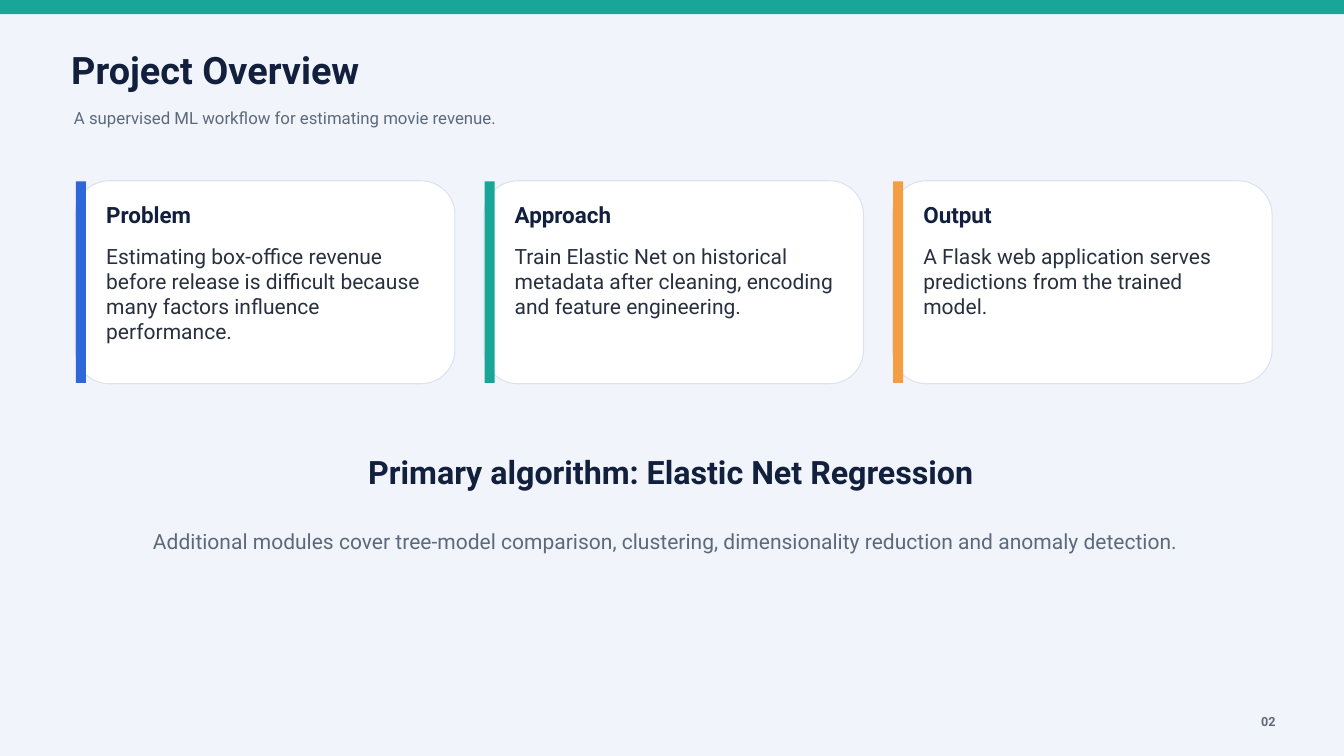
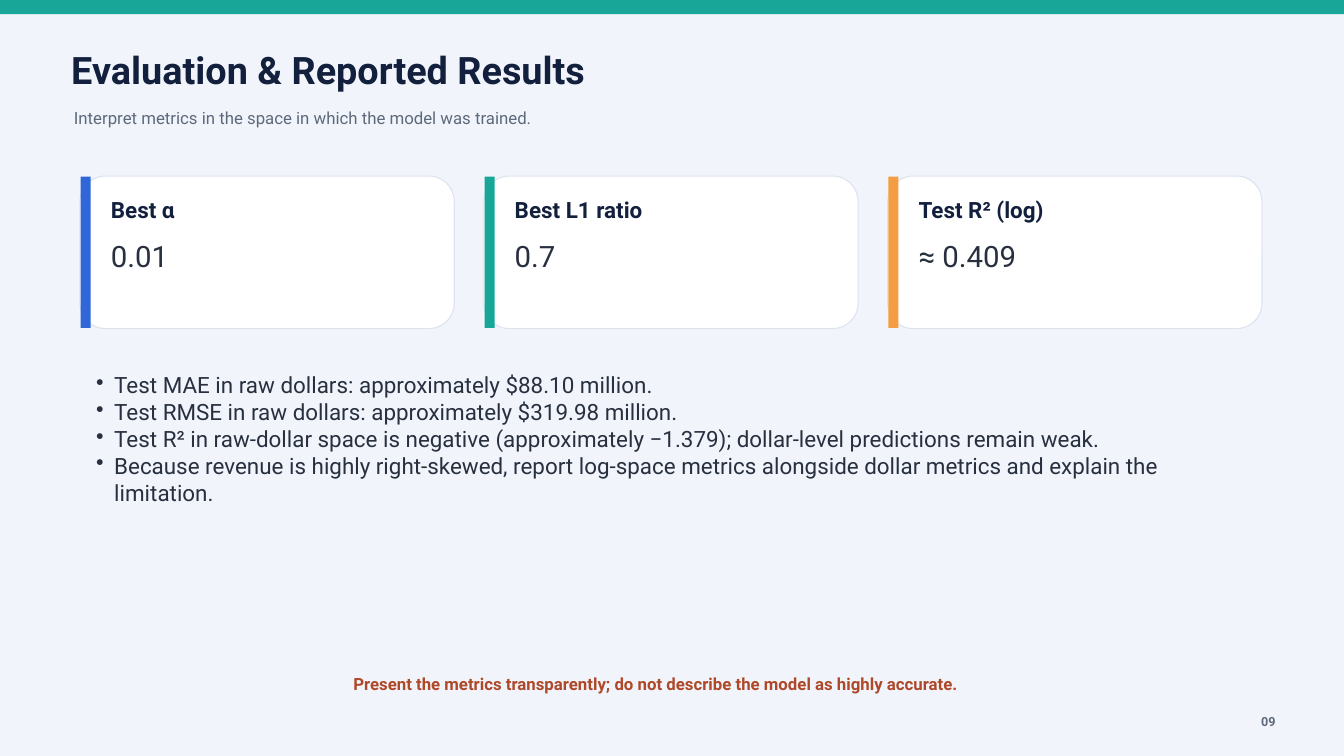
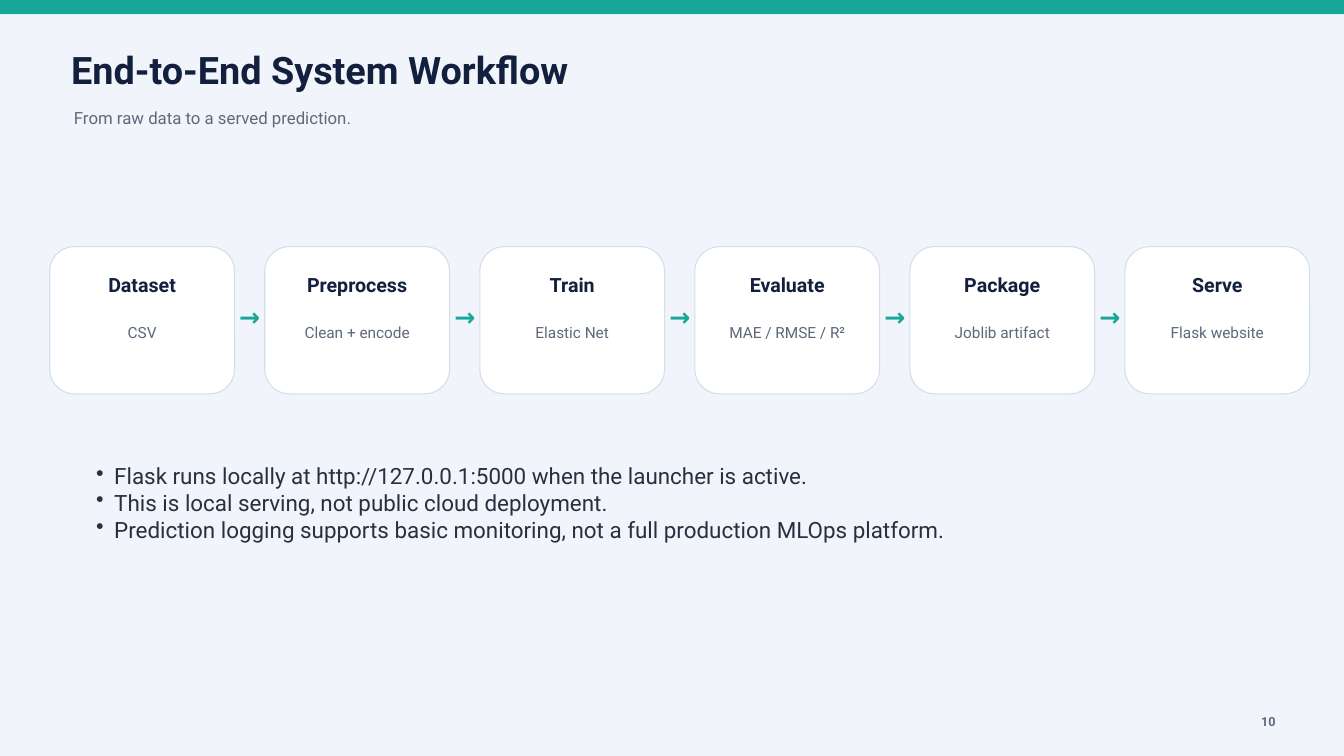
from dataclasses import dataclass
from pptx import Presentation
from pptx import util as u
from pptx.dml.color import RGBColor
from pptx.enum import shapes, text
from pptx.oxml.ns import qn
from lxml import etree

SHAPE = shapes.MSO_SHAPE
ALIGN = text.PP_ALIGN


@dataclass(frozen=True)
class Theme:
    face: str = "Roboto"
    page: str = "F1F5FB"
    white: str = "FFFFFF"
    navy: str = "13203D"
    ink: str = "283040"
    gray: str = "5D697B"
    blue: str = "2F67D8"
    teal: str = "18A699"
    amber: str = "F59D42"
    rust: str = "AE4828"
    edge: str = "DCE3EE"
    rim: str = "D3DEEC"
    title: float = 40.5
    claim: float = 34.5
    value: float = 31.5
    arrow: float = 27
    head: float = 24
    body: float = 22.5
    step: float = 21
    note: float = 18
    small: float = 16.5
    page_no: float = 13.5


T = Theme()


class Deck:
    def __init__(self):
        self.prs = Presentation()
        self.prs.slide_width = u.Inches(20)
        self.prs.slide_height = u.Inches(11.25)
        self.slide = None

    def begin(self, title, lead, number):
        self.slide = self.prs.slides.add_slide(self.prs.slide_layouts[6])
        fill = self.slide.background.fill
        fill.solid()
        fill.fore_color.rgb = RGBColor.from_string(T.page)
        self.block((0, 0, 20, 0.21), T.teal)
        self.label((1.06, 0.69, 17.85, 0.78), title, T.title, T.navy, bold=True)
        self.label((1.1, 1.6, 17.55, 0.52), lead, T.note, T.gray)
        self.label((18.39, 10.62, 0.59, 0.23), number, T.page_no, T.gray,
                   bold=True, align=ALIGN.RIGHT)

    def block(self, area, color, line=None, kind=SHAPE.RECTANGLE):
        shape = self.slide.shapes.add_shape(kind, *map(u.Inches, area))
        shape.shadow.inherit = False
        shape.fill.solid()
        shape.fill.fore_color.rgb = RGBColor.from_string(color)
        if line:
            shape.line.color.rgb = RGBColor.from_string(line)
            shape.line.width = u.Pt(1.13)
        else:
            shape.line.fill.background()

    def label(self, area, words, size, color, bold=False, align=ALIGN.LEFT, mark=False):
        frame = self.slide.shapes.add_textbox(*map(u.Inches, area)).text_frame
        form = dict(word_wrap=True, margin_left=0, margin_top=0,
                    margin_right=0, margin_bottom=0)
        for key, val in form.items():
            setattr(frame, key, val)
        frame.text = words
        for para in frame.paragraphs:
            if mark:
                self.bullet(para)
            para.alignment = align
            para.line_spacing = u.Pt(size * 1.2)
            for key, val in dict(name=T.face, size=u.Pt(size), bold=bold).items():
                setattr(para.runs[0].font, key, val)
            para.runs[0].font.color.rgb = RGBColor.from_string(color)

    def bullet(self, para):
        props = para._p.get_or_add_pPr()
        hang = u.Inches(0.27)
        props.set("marL", str(hang))
        props.set("indent", str(-hang))
        etree.SubElement(props, qn("a:buChar")).set("char", "•")

    def points(self, top, *lines):
        self.label((1.43, top, 17.1, 0.4 * len(lines) + 0.4), "\n".join(lines),
                   T.head, T.ink, mark=True)

    def cards(self, area, pitch, size, items):
        left, top, wide, high = area
        for i, (color, (head, body)) in enumerate(zip((T.blue, T.teal, T.amber), items)):
            x = left + i * pitch
            self.block((x, top, wide, high), T.white, T.edge, SHAPE.ROUNDED_RECTANGLE)
            self.block((x + 0.01, top + 0.01, 0.15, high - 0.02), color)
            self.label((x + 0.46, top + 0.3, wide - 0.78, 0.45), head,
                       T.head, T.navy, bold=True)
            self.label((x + 0.46, top + 0.93, wide - 0.81, high - 1.12), body, size, T.ink)

    def flow(self, left, top, pitch, steps):
        for i, (head, note) in enumerate(steps):
            x = left + i * pitch
            self.block((x, top, 2.75, 2.19), T.white, T.rim, SHAPE.ROUNDED_RECTANGLE)
            self.label((x + 0.21, top + 0.39, 2.33, 0.41), head, T.step, T.navy,
                       bold=True, align=ALIGN.CENTER)
            self.label((x + 0.21, top + 1.14, 2.33, 0.55), note, T.small, T.gray,
                       align=ALIGN.CENTER)
            if i < len(steps) - 1:
                self.label((x + 2.82, top + 0.81, 0.29, 0.37), "→", T.arrow, T.teal,
                           bold=True, align=ALIGN.CENTER)


def main():
    deck = Deck()

    deck.begin("Project Overview", "A supervised ML workflow for estimating movie revenue.", "02")
    deck.cards((1.12, 2.69, 5.65, 3.02), 6.08, T.body, [
        ("Problem", "Estimating box-office revenue before release is difficult because "
                    "many factors influence performance."),
        ("Approach", "Train Elastic Net on historical metadata after cleaning, encoding "
                     "and feature engineering."),
        ("Output", "A Flask web application serves predictions from the trained model."),
    ])
    deck.label((1.43, 6.73, 17.1, 0.75), "Primary algorithm: Elastic Net Regression",
               T.claim, T.navy, bold=True, align=ALIGN.CENTER)
    deck.label((1.73, 7.86, 16.35, 0.97),
               "Additional modules cover tree-model comparison, clustering, "
               "dimensionality reduction and anomaly detection.",
               T.body, T.gray, align=ALIGN.CENTER)

    deck.begin("Evaluation & Reported Results",
               "Interpret metrics in the space in which the model was trained.", "09")
    deck.cards((1.19, 2.62, 5.57, 2.27), 6.01, T.value, [
        ("Best α", "0.01"), ("Best L1 ratio", "0.7"), ("Test R² (log)", "≈ 0.409"),
    ])
    deck.points(
        5.53,
        "Test MAE in raw dollars: approximately $88.10 million.",
        "Test RMSE in raw dollars: approximately $319.98 million.",
        "Test R² in raw-dollar space is negative (approximately −1.379); "
        "dollar-level predictions remain weak.",
        "Because revenue is highly right-skewed, report log-space metrics alongside "
        "dollar metrics and explain the limitation.")
    deck.label((1.58, 10.03, 16.35, 0.3),
               "Present the metrics transparently; do not describe the model as highly accurate.",
               T.note, T.rust, bold=True, align=ALIGN.CENTER)

    deck.begin("End-to-End System Workflow", "From raw data to a served prediction.", "10")
    deck.flow(0.74, 3.67, 3.2, [
        ("Dataset", "CSV"), ("Preprocess", "Clean + encode"), ("Train", "Elastic Net"),
        ("Evaluate", "MAE / RMSE / R²"), ("Package", "Joblib artifact"),
        ("Serve", "Flask website"),
    ])
    deck.points(
        6.88,
        "Flask runs locally at http://127.0.0.1:5000 when the launcher is active.",
        "This is local serving, not public cloud deployment.",
        "Prediction logging supports basic monitoring, not a full production MLOps platform.")

    deck.prs.save("out.pptx")


if __name__ == "__main__":
    main()
